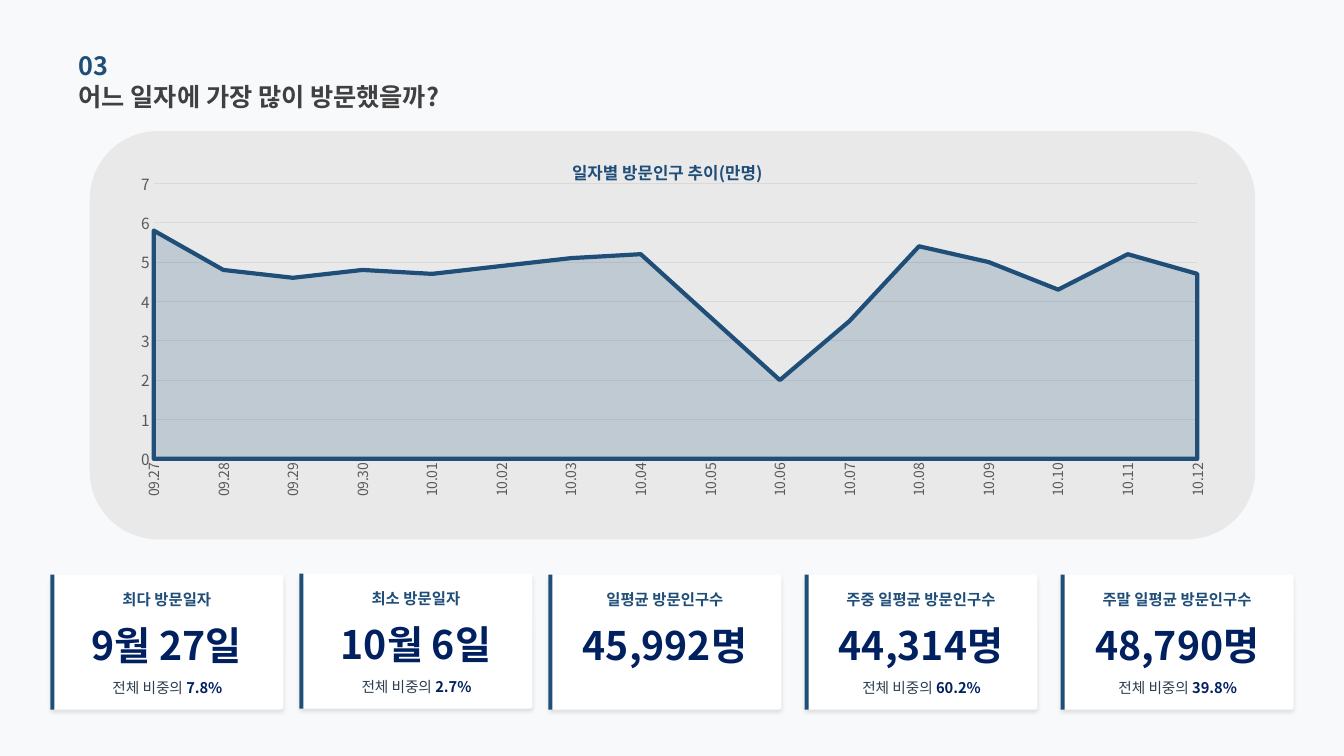
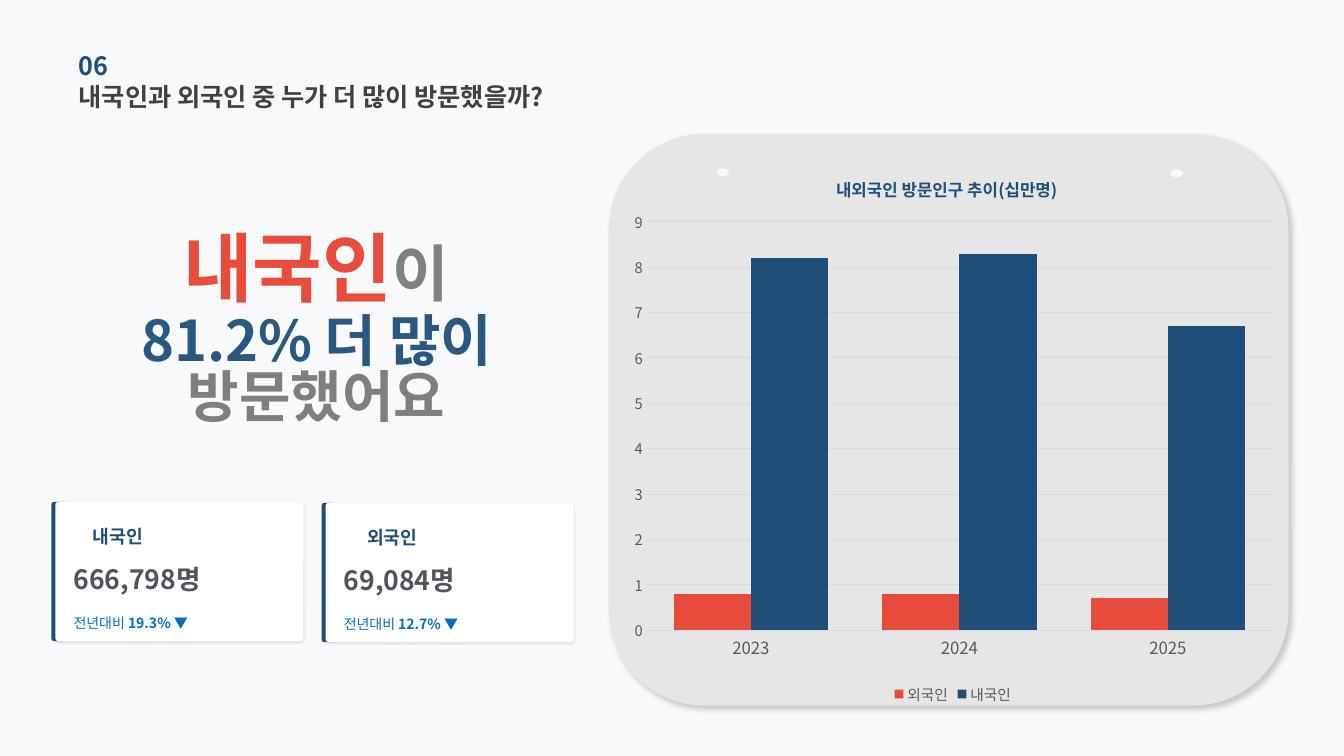
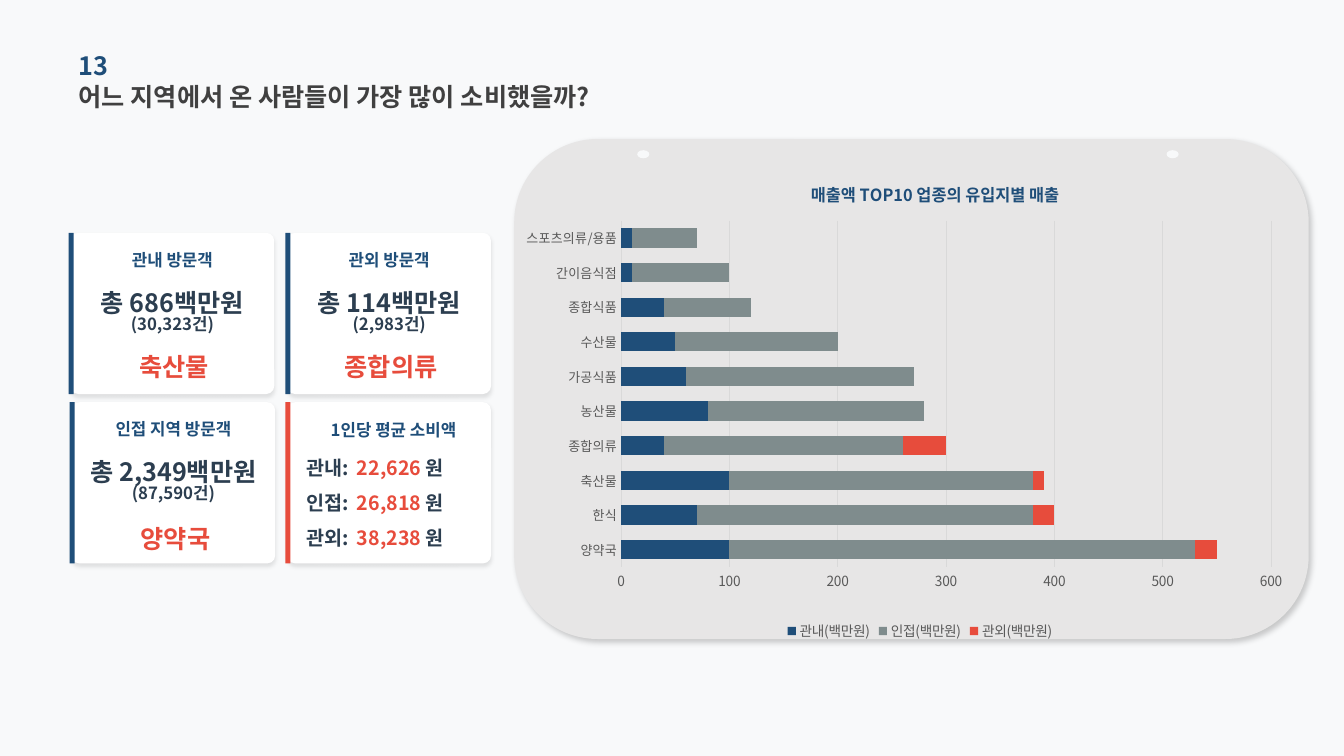
from lxml.etree import SubElement
from pptx import Presentation
from pptx.chart.data import CategoryChartData as Data
from pptx.dml.color import RGBColor
from pptx.enum.chart import XL_CHART_TYPE as Kind, XL_LEGEND_POSITION as Spot
from pptx.enum.chart import XL_TICK_MARK as Tick
from pptx.enum.shapes import MSO_SHAPE as Form
from pptx.enum.text import MSO_ANCHOR as Anchor, MSO_AUTO_SIZE as Auto, PP_ALIGN as Align
from pptx.oxml.ns import qn
from pptx.util import Pt

PX = 9144  # 100 px to the inch
FACE = "Noto Sans CJK KR"
PAGE, WHITE, PANEL = "F8F9FA", "FFFFFF", "E7E6E6"
NAVY, DEEP, RED = "1F4E79", "002060", "E74C3C"
INK, SLATE, GREY, BLUE = "404040", "2C3E50", "808080", "0070C0"
AXIS, GRID = "595959", "D9D9D9"
LIFT = (10, 3, 2, 90)
FAINT = (10, 2, 1, 90)
DROP = (20, 4, 3, 45)


def hue(code):
    return RGBColor.from_string(code)


def emu(box):
    return [n * PX for n in box]


def shift(box, x, y, w, h):
    """Box of size w, h whose corner lies x, y inside another box."""
    return box[0] + x, box[1] + y, w, h


def style(font, size, code, bold=False):
    font.name, font.size, font.bold = FACE, Pt(size), bold
    font.color.rgb = hue(code)
    SubElement(font._rPr, qn("a:ea"), typeface=FACE)


def fade(part, share):
    """Make the first solid colour under an XML part partly transparent."""
    tone = next(part.iter(qn("a:srgbClr")))
    SubElement(tone, qn("a:alpha"), val=str(share * 1000))


def write(par, runs):
    for text, size, code, bold in runs:
        run = par.add_run()
        run.text = text
        style(run.font, size, code, bold)


def fit(frame):
    frame.margin_left = frame.margin_right = frame.margin_top = frame.margin_bottom = 0
    frame.word_wrap, frame.auto_size = True, Auto.NONE
    frame.vertical_anchor = Anchor.MIDDLE


def text(slide, box, *lines, align=Align.CENTER, space=None):
    """Text box; each line is a list of (text, size, colour, bold) runs."""
    frame = slide.shapes.add_textbox(*emu(box)).text_frame
    fit(frame)
    for i, runs in enumerate(lines):
        par = frame.add_paragraph() if i else frame.paragraphs[0]
        par.alignment, par.line_spacing = align, space
        write(par, runs)


def block(slide, form, box, code, round=None, shade=None):
    shape = slide.shapes.add_shape(form, *emu(box))
    shape.fill.solid()
    shape.fill.fore_color.rgb = hue(code)
    shape.line.fill.background()
    shape.shadow.inherit = False
    if round:
        shape.adjustments[0] = round
    if shade:
        alpha, blur, dist, turn = shade
        list_ = shape._element.spPr.find(qn("a:effectLst"))
        cast = SubElement(list_, qn("a:outerShdw"), blurRad=str(Pt(blur)),
                          dist=str(Pt(dist)), dir=str(turn * 60000), rotWithShape="0")
        tone = SubElement(cast, qn("a:srgbClr"), val="000000")
        SubElement(tone, qn("a:alpha"), val=str(alpha * 1000))
    return shape


def start(deck, layout, mark, head):
    """New slide with its number and its question as title."""
    slide = deck.slides.add_slide(deck.slide_layouts[layout])
    title = slide.shapes.title
    title.left, title.top, title.width, title.height = emu((78, 75, 535, 41))
    fit(title.text_frame)
    par = title.text_frame.paragraphs[0]
    par.alignment = Align.LEFT
    write(par, [(head, 18, INK, True)])
    text(slide, (78, 44, 452, 41), [(mark, 18, NAVY, True)], align=Align.LEFT)
    return slide


def panel(slide, box, dots):
    block(slide, Form.ROUNDED_RECTANGLE, box, PANEL, shade=DROP)
    for x, y in dots:
        block(slide, Form.OVAL, shift(box, x, y, 12, 8), PAGE)


def place(part, at, **rule):
    """Give a chart part a manual layout, as shares of the chart."""
    old = part.find(qn("c:layout"))
    if old is not None:
        part.remove(old)
    lay = SubElement(part, qn("c:layout"))
    hand = SubElement(lay, qn("c:manualLayout"))
    if "w" in rule:
        SubElement(hand, qn("c:layoutTarget"), val="inner")
    for key in ("xMode", "yMode"):
        SubElement(hand, qn("c:" + key), val="edge")
    for key, val in rule.items():
        SubElement(hand, qn("c:" + key), val=str(val))
    part.insert(at, lay)


def graph(slide, box, kind, cats, rows, head, spot, plot, sizes, top, step, gap=None):
    """Chart; rows hold (name, colour, values), sizes the fonts of both axes and legend."""
    data = Data()
    data.categories = cats
    for name, _, vals in rows:
        data.add_series(name, vals)
    chart = slide.shapes.add_chart(kind, *emu(box), data).chart
    style(chart.font, 10, AXIS)
    chart.has_title = True
    write(chart.chart_title.text_frame.paragraphs[0], [(head, 12, NAVY, True)])
    place(chart.chart_title._element, 1, x=spot[0], y=spot[1])
    place(chart._chartSpace.chart.plotArea, 0, **dict(zip("xywh", plot)))

    cat, val = chart.category_axis, chart.value_axis
    for axis, size in ((cat, sizes[0]), (val, sizes[1])):
        axis.major_tick_mark = axis.minor_tick_mark = Tick.NONE
        style(axis.tick_labels.font, size, AXIS)
    cat.has_major_gridlines, val.has_major_gridlines = False, True
    val.minimum_scale, val.maximum_scale, val.major_unit = 0, top, step
    val.tick_labels.number_format = "0"
    val.tick_labels.number_format_is_linked = False
    val.format.line.fill.background()
    for line in (cat.format.line, val.major_gridlines.format.line):
        line.color.rgb, line.width = hue(GRID), Pt(0.75)

    body = chart.plots[0]
    body.vary_by_categories = False
    if gap:
        body.gap_width = gap
    for line, (_, code, _) in zip(body.series, rows):
        line.format.fill.solid()
        line.format.fill.fore_color.rgb = hue(code)
    chart.has_legend = len(sizes) > 2
    if chart.has_legend:
        chart.legend.position = Spot.BOTTOM
        chart.legend.include_in_layout = False
        style(chart.legend.font, sizes[2], AXIS)
    return chart


def fact(slide, box, head, value, share):
    block(slide, Form.ROUNDED_RECTANGLE, box, WHITE, 0.02, LIFT)
    text(slide, shift(box, 10, 14, 211, 22), [(head, 11, NAVY, True)])
    text(slide, shift(box, 0, 51, 231, 38), [(value, 28, DEEP, True)])
    if share:
        text(slide, shift(box, 50, 102, 132, 21),
             [("전체 비중의 ", 10.5, SLATE, False), (share, 10.5, DEEP, True)])
    block(slide, Form.RECTANGLE, shift(box, 0, 0, 4, 134), NAVY)


def count(slide, box, inset, head, value, change):
    block(slide, Form.ROUNDED_RECTANGLE, shift(box, 0, 0, 15, 138), NAVY)
    block(slide, Form.ROUNDED_RECTANGLE, shift(box, 4, 0, 246, 138), WHITE, 0.02, FAINT)
    left = Align.LEFT
    text(slide, shift(box, inset, 20, 65, 28), [(head, 13, NAVY, True)], align=left)
    text(slide, shift(box, 22, 57, 220, 39), [(value, 19, "51545A", True)], align=left)
    text(slide, shift(box, 22, 97, 220, 45),
         [("전년대비 ", 10, BLUE, False), (change, 10, BLUE, True)], align=left)


def tile(slide, box, code):
    block(slide, Form.ROUNDED_RECTANGLE, box, WHITE, 0.05, LIFT)
    block(slide, Form.RECTANGLE, shift(box, -2, 0, 5, 160), code)


def guest(slide, box, head, total, deals, goods, drop):
    tile(slide, box, NAVY)
    text(slide, shift(box, 0, 11, 202, 31), [(head, 12, NAVY, True)])
    text(slide, shift(box, 0, 56, 202, 47), [(total, 18, SLATE, True)],
         [(deals, 12, SLATE, True)], space=0.83)
    text(slide, shift(box, 3, drop, 200, 47), [(goods, 18, RED, True)])


def spend(slide, box, head, rows):
    tile(slide, box, RED)
    text(slide, shift(box, 43, 15, 140, 25), [(head, 12, NAVY, True)], align=Align.LEFT)
    body = slide.placeholders[1]
    body.left, body.top, body.width, body.height = emu(shift(box, 19, 42, 175, 104))
    slide.shapes._spTree.append(body._element)  # bring to front
    fit(body.text_frame)
    for i, (name, cost) in enumerate(rows):
        par = body.text_frame.add_paragraph() if i else body.text_frame.paragraphs[0]
        prop = par._p.get_or_add_pPr()
        prop.set("marL", "0")
        prop.set("indent", "0")
        SubElement(prop, qn("a:buNone"))
        tabs = SubElement(prop, qn("a:tabLst"))
        SubElement(tabs, qn("a:tab"), pos=str(54 * PX), algn="l")
        par.alignment, par.line_spacing, par.space_before = Align.LEFT, Pt(25), Pt(0)
        write(par, [(name + ":\t", 14, SLATE, True), (cost + " ", 14, RED, True),
                    ("원", 14, SLATE, True)])


def daily(deck):
    slide = start(deck, 5, "03", "어느 일자에 가장 많이 방문했을까?")
    back = block(slide, Form.ROUNDED_RECTANGLE, (89, 130, 1156, 405), "D0CECE")
    fade(back._element.spPr, 36)
    for x, y, head, value, share in (
            (50, 570, "최다 방문일자", "9월 27일", "7.8%"),
            (297, 569, "최소 방문일자", "10월 6일", "2.7%"),
            (544, 570, "일평균 방문인구수", "45,992명", None),
            (798, 570, "주중 일평균 방문인구수", "44,314명", "60.2%"),
            (1052, 570, "주말 일평균 방문인구수", "48,790명", "39.8%")):
        fact(slide, (x, y, 231, 134), head, value, share)
    days = [f"09.{d}" for d in range(27, 31)] + [f"10.{d:02}" for d in range(1, 13)]
    vals = (5.8, 4.8, 4.6, 4.8, 4.7, 4.9, 5.1, 5.2, 3.6, 2, 3.5, 5.4, 5, 4.3, 5.2, 4.7)
    chart = graph(slide, (108, 133, 1113, 408), Kind.AREA, days,
                  [("Series 1", NAVY, vals)], "일자별 방문인구 추이(만명)",
                  (0.41, 0.05), (0.04, 0.12, 0.93, 0.67), (10, 11), 7, 1)
    area = chart.plots[0].series[0]
    fade(area._element, 20)
    area.format.line.color.rgb, area.format.line.width = hue(NAVY), Pt(3)
    chart.category_axis._element.txPr.find(qn("a:bodyPr")).set("rot", "-5400000")
    for cross in chart.value_axis._element.iter(qn("c:crossBetween")):
        cross.set("val", "midCat")


def origin(deck):
    slide = start(deck, 5, "06", "내국인과 외국인 중 누가 더 많이 방문했을까?")
    panel(slide, (604, 133, 674, 567), ((107, 34), (557, 35)))
    text(slide, (99, 240, 429, 48), [("내국인", 54, RED, True), ("이", 44, GREY, True)])
    text(slide, (38, 328, 552, 84), [("81.2% 더 많이", 40, "2B5880", True)],
         [("방문했어요", 40, "7F7F7F", True)], space=0.83)
    count(slide, (51, 498, 250, 138), 41, "내국인", "666,798명", "19.3% ▼")
    count(slide, (319, 499, 250, 138), 45, "외국인", "69,084명", "12.7% ▼")
    graph(slide, (615, 148, 660, 555), Kind.COLUMN_CLUSTERED, ("2023", "2024", "2025"),
          [("외국인", RED, (0.8, 0.8, 0.7)), ("내국인", NAVY, (8.2, 8.3, 6.7))],
          "내외국인 방문인구 추이(십만명)", (0.32, 0.04), (0.04, 0.13, 0.94, 0.73),
          (12, 10.5, 10.5), 9, 1, 70)


def sales(deck):
    slide = start(deck, 1, "13", "어느 지역에서 온 사람들이 가장 많이 소비했을까?")
    panel(slide, (510, 138, 788, 496), ((122, 11), (647, 11)))
    for x, y, *rest in (
            (70, 231, "관내 방문객", "총 686백만원", "(30,323건)", "축산물", 109),
            (285, 231, "관외 방문객", "총 114백만원", "(2,983건)", "종합의류", 109),
            (71, 399, "인접 지역 방문객", "총 2,349백만원", "(87,590건)", "양약국", 112)):
        guest(slide, (x, y, 202, 160), *rest)
    spend(slide, (285, 399, 202, 160), "1인당 평균 소비액",
          (("관내", "22,626"), ("인접", "26,818"), ("관외", "38,238")))
    cats = ("양약국", "한식", "축산물", "종합의류", "농산물", "가공식품", "수산물",
            "종합식품", "간이음식점", "스포츠의류/용품")
    rows = [("관내(백만원)", NAVY, (100, 70, 100, 40, 80, 60, 50, 40, 10, 10)),
            ("인접(백만원)", "7F8C8D", (430, 310, 280, 220, 200, 210, 150, 80, 90, 60)),
            ("관외(백만원)", RED, (20, 20, 10, 40, 0, 0, 0, 0, 0, 0))]
    chart = graph(slide, (522, 156, 761, 484), Kind.BAR_STACKED, cats, rows,
                  "매출액 TOP10 업종의 유입지별 매출", (0.35, 0.04),
                  (0.1, 0.13, 0.87, 0.71), (9.5, 10, 10), 600, 100, 80)
    chart.plots[0].overlap = 100


def main():
    deck = Presentation()
    deck.slide_width, deck.slide_height = emu((1333, 750))
    back = deck.slide_master.background.fill
    back.solid()
    back.fore_color.rgb = hue(PAGE)
    for build in (daily, origin, sales):
        build(deck)
    deck.save("out.pptx")


if __name__ == "__main__":
    main()
